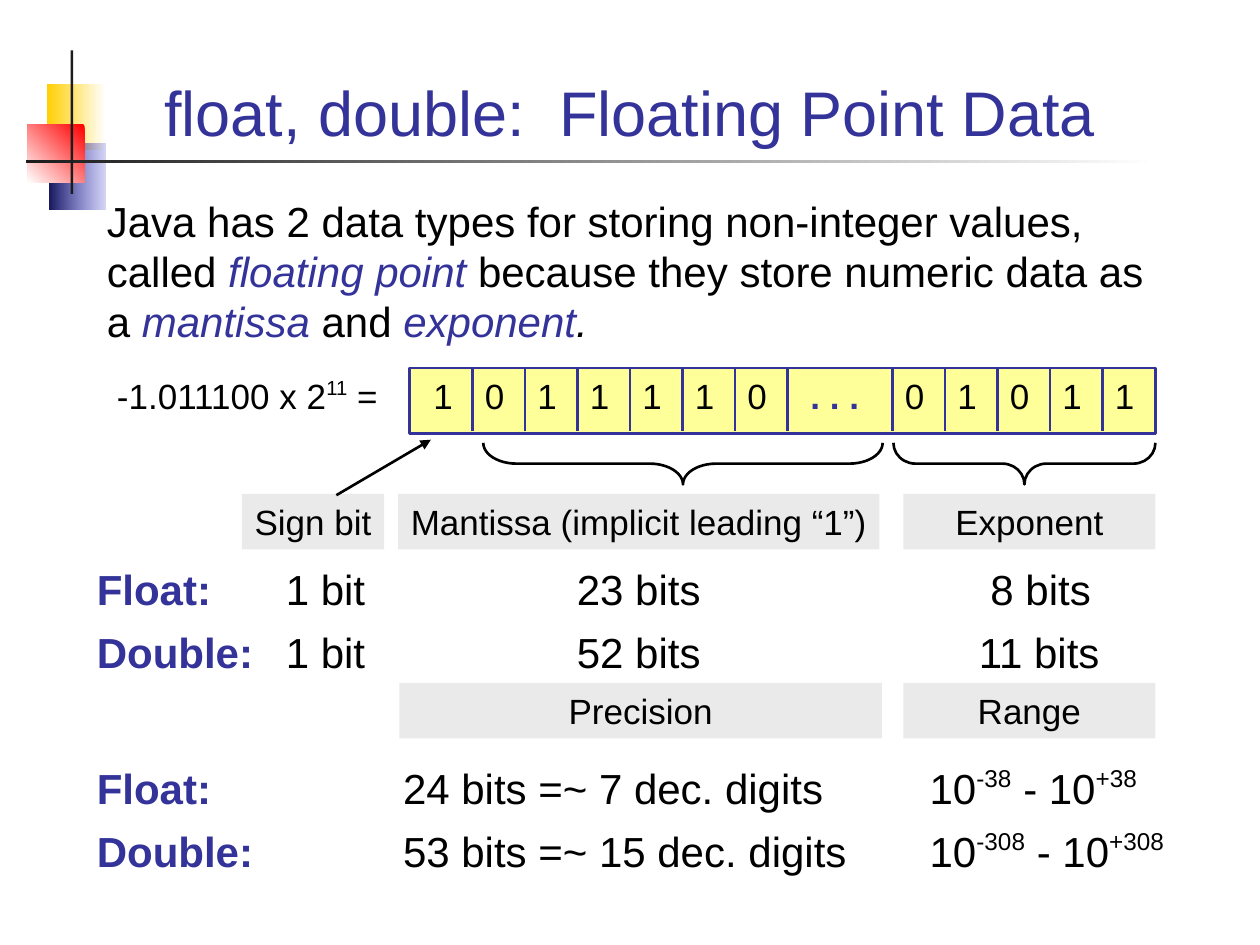
from dataclasses import dataclass

from lxml import etree
from pptx import Presentation
from pptx.dml.color import RGBColor
from pptx.enum import shapes, text
from pptx.oxml.ns import qn
from pptx.util import Inches, Pt

COLORS = {
    "ink": "000000", "accent": "333399", "bits": "FFFF99", "label": "EAEAEA",
    "rule": "1C1C1C", "white": "FFFFFF", "yellow": "FFCF01", "red": "FF0000",
    "blue": "3333CC", "navy": "17175E",
}
FONT = "Arial"
BIT_TOP, BIT_STEP, FIRST_DIVIDER = 2.92, 5 / 12, 3.75


@dataclass
class Box:
    left: float
    top: float
    width: float
    height: float

    def lengths(self) -> list:
        return [Inches(v) for v in (self.left, self.top, self.width, self.height)]


@dataclass
class Span:
    words: str
    color: str = "ink"
    bold: bool = False
    italic: bool = False
    raised: bool = False


@dataclass
class Ornament:
    box: Box
    start: str
    end: str
    angle: int = 180
    start_alpha: int = 100


@dataclass
class Label:
    box: Box
    words: str


@dataclass
class Brace:
    center: float
    span: float
    curve: float


def rgb(name: str) -> RGBColor:
    return RGBColor.from_string(COLORS[name])


def style(run, span: Span, size: float) -> None:
    run.font.name, run.font.size = FONT, Pt(size)
    run.font.bold, run.font.italic = span.bold, span.italic
    run.font.color.rgb = rgb(span.color)
    if span.raised:
        run._r.get_or_add_rPr().set("baseline", "40000")


def write(shape, paragraphs: list, size: float, align=text.PP_ALIGN.LEFT,
          wrap: bool = True, gap: float = 0, tabs: tuple = ()) -> None:
    """Fill a shape with paragraphs, each a list of spans."""
    frame = shape.text_frame
    frame.word_wrap = wrap
    frame.vertical_anchor = text.MSO_ANCHOR.TOP
    for index, spans in enumerate(paragraphs):
        paragraph = frame.add_paragraph() if index else frame.paragraphs[0]
        if tabs:
            stops = etree.SubElement(paragraph._p.get_or_add_pPr(), qn("a:tabLst"))
            for stop in tabs:
                etree.SubElement(stops, qn("a:tab"), pos=str(Inches(stop)), algn="l")
        paragraph.alignment = align
        if index:
            paragraph.space_before = Pt(gap)
        for span in spans:
            run = paragraph.add_run()
            run.text = span.words
            style(run, span, size)


def add_text(slide, box: Box, paragraphs: list, size: float, **options) -> None:
    write(slide.shapes.add_textbox(*box.lengths()), paragraphs, size, **options)


def add_rect(slide, box: Box, fill: str = ""):
    rect = slide.shapes.add_shape(shapes.MSO_SHAPE.RECTANGLE, *box.lengths())
    rect.shadow.inherit = False
    rect.line.fill.background()
    if fill:
        rect.fill.solid()
        rect.fill.fore_color.rgb = rgb(fill)
    return rect


def add_ornament(slide, ornament: Ornament) -> None:
    fill = add_rect(slide, ornament.box).fill
    fill.gradient()
    fill.gradient_angle = ornament.angle
    first, last = fill.gradient_stops
    first.position, last.position = 0, 1
    first.color.rgb, last.color.rgb = rgb(ornament.start), rgb(ornament.end)
    if ornament.start_alpha < 100:
        tint = first._gs.find(qn("a:srgbClr"))
        etree.SubElement(tint, qn("a:alpha"), val=str(ornament.start_alpha * 1000))


def add_line(slide, start: tuple, end: tuple, color: str, arrow: bool = False) -> None:
    line = slide.shapes.add_connector(
        shapes.MSO_CONNECTOR.STRAIGHT, *[Inches(v) for v in start + end])
    line.line.color.rgb, line.line.width = rgb(color), Pt(1.5)
    if arrow:
        etree.SubElement(line.line._get_or_add_ln(), qn("a:tailEnd"), type="triangle")
    etree.SubElement(line._element.spPr, qn("a:effectLst"))


def add_brace(slide, brace: Brace) -> None:
    depth, middle = 0.33, 3.68
    box = Box(brace.center - depth / 2, middle - brace.span / 2, depth, brace.span)
    shape = slide.shapes.add_shape(shapes.MSO_SHAPE.RIGHT_BRACE, *box.lengths())
    shape.rotation = 90
    shape.adjustments[0] = brace.curve
    shape.shadow.inherit = False
    shape.fill.background()
    shape.line.color.rgb, shape.line.width = rgb("ink"), Pt(1.5)


def add_label(slide, label: Label) -> None:
    write(add_rect(slide, label.box, "label"), [[Span(label.words)]], 20,
          align=text.PP_ALIGN.CENTER, wrap=False)


def add_bit(slide, left: float, span: Span, width: float = 0.35) -> None:
    add_text(slide, Box(left, BIT_TOP, width, 0.44), [[span]], 20,
             align=text.PP_ALIGN.CENTER, wrap=False)


def main() -> None:
    prs = Presentation()
    prs.slide_width, prs.slide_height = Inches(10), Inches(7.5)
    slide = prs.slides.add_slide(prs.slide_layouts[5])

    # Corner ornament and rules
    for ornament in (
        Ornament(Box(0.37, 0.67, 0.47, 0.52), "white", "yellow"),
        Ornament(Box(0.39, 1.14, 0.45, 0.52), "blue", "navy", start_alpha=20),
        Ornament(Box(0.22, 0.99, 0.45, 0.46), "red", "white", angle=225),
        Ornament(Box(0.21, 1.27, 8.98, 0.02), "white", "rule"),
    ):
        add_ornament(slide, ornament)
    add_rect(slide, Box(0.56, 0.4, 0.02, 1.14), "rule")

    # Title
    title = slide.shapes.title
    title.left, title.top, title.width, title.height = Box(0.67, 0.28, 8.66, 0.95).lengths()
    title.text_frame.text = "float, double:  Floating Point Data"
    title.text_frame.vertical_anchor = text.MSO_ANCHOR.BOTTOM
    heading = title.text_frame.paragraphs[0]
    heading.alignment = text.PP_ALIGN.CENTER
    style(heading.runs[0], Span(heading.text, "accent"), 36)

    # Introduction
    add_text(slide, Box(0.75, 1.5, 8.5, 1.5), [[
        Span("Java has 2 data types for storing non-integer values, called "),
        Span("floating point", "accent", italic=True),
        Span(" because they store numeric data as a "),
        Span("mantissa ", "accent", italic=True), Span("and "),
        Span("exponent", "accent", italic=True), Span(".", italic=True)]], 24)

    # Bit pattern: sign bit, mantissa, ellipsis two cells wide, exponent
    add_text(slide, Box(0.83, BIT_TOP, 2.42, 0.44), [[
        Span("-1.011100 x 2"), Span("11", raised=True), Span(" =")]], 20)
    register = add_rect(slide, Box(3.25, BIT_TOP, 5.92, 0.52), "bits")
    register.line.color.rgb, register.line.width = rgb("accent"), Pt(1.5)
    add_bit(slide, 3.34, Span("1"))
    for cell, bit in enumerate("011110. 01011"):
        left = FIRST_DIVIDER + cell * BIT_STEP
        if bit != " ":
            add_line(slide, (left, BIT_TOP), (left, 3.42), "accent")
        if bit == ".":
            add_bit(slide, left, Span(". . .", "accent", bold=True), 0.75)
        elif bit != " ":
            add_bit(slide, left, Span(bit))

    # Labels, braces and pointer to the sign bit
    for label in (
        Label(Box(1.92, 3.92, 1.13, 0.44), "Sign bit"),
        Label(Box(3.16, 3.92, 3.82, 0.44), "Mantissa (implicit leading “1”)"),
        Label(Box(7.17, 3.92, 2, 0.44), "Exponent"),
        Label(Box(3.17, 5.42, 3.83, 0.44), "Precision"),
        Label(Box(7.17, 5.42, 2, 0.44), "Range"),
    ):
        add_label(slide, label)
    add_line(slide, (2.67, 3.93), (3.42, 3.49), "ink", arrow=True)
    for brace in (Brace(5.42, 3.17, 0.8), Brace(8.13, 2.08, 0.53)):
        add_brace(slide, brace)

    # Sizes, then precision and range, of each type
    sizes = {"Float": "1 bit\t23 bits\t 8 bits", "Double": "1 bit\t52 bits\t11 bits"}
    add_text(slide, Box(0.67, 4.42, 8.75, 1.01),
             [[Span(f"{kind}:\t", "accent", bold=True), Span(bits)]
              for kind, bits in sizes.items()],
             24, gap=7.5, tabs=(1.5, 3.81, 7))
    limits = {"Float": ("24 bits =~ 7 dec. digits", 38),
              "Double": ("53 bits =~ 15 dec. digits", 308)}
    add_text(slide, Box(0.67, 6, 9.08, 1.01),
             [[Span(f"{kind}:\t", "accent", bold=True), Span(f"{precision}\t10"),
               Span(f"-{power}", raised=True), Span(" - 10"),
               Span(f"+{power}", raised=True)]
              for kind, (precision, power) in limits.items()],
             24, gap=7.5, tabs=(2.43, 6.61))

    prs.save("out.pptx")


if __name__ == "__main__":
    main()
